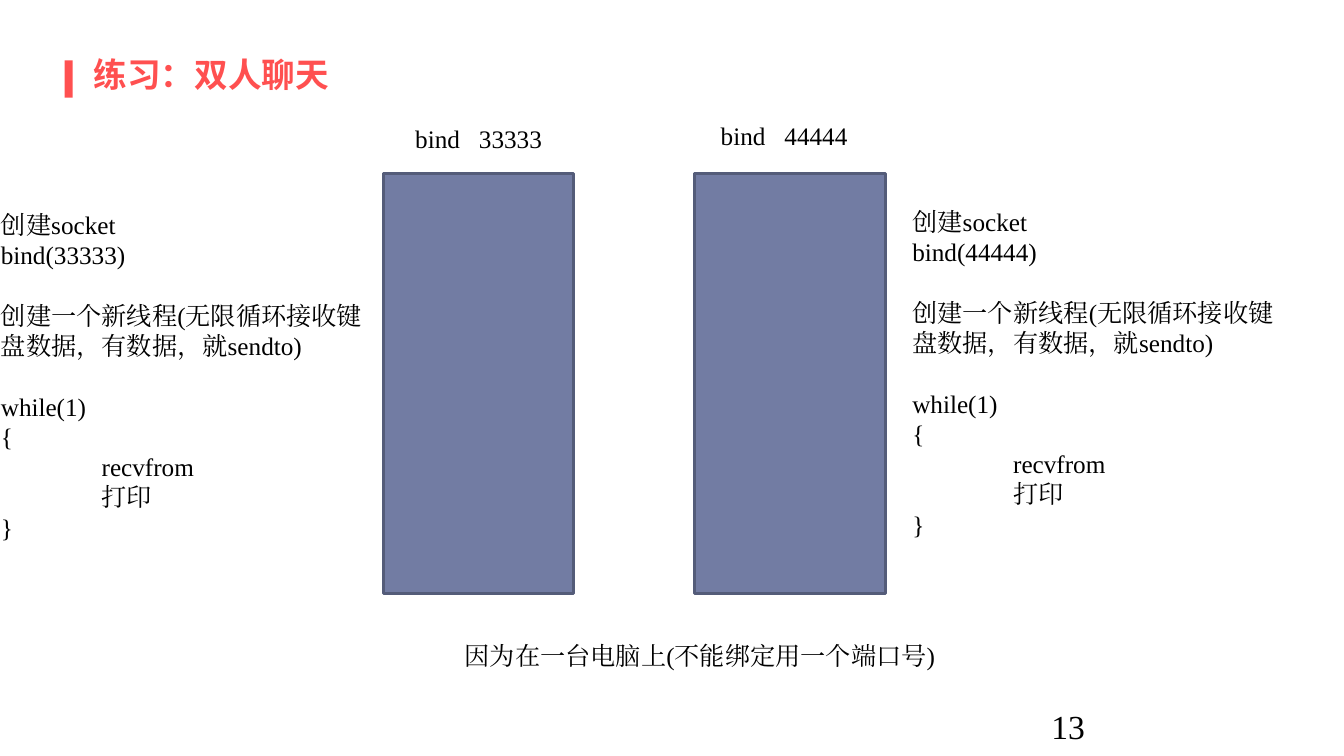
from dataclasses import dataclass

from pptx import Presentation
from pptx.dml.color import RGBColor
from pptx.enum.shapes import MSO_SHAPE
from pptx.enum.text import MSO_ANCHOR
from pptx.oxml.ns import qn
from pptx.util import Inches, Pt

RECT = MSO_SHAPE.RECTANGLE
TOP, MIDDLE = MSO_ANCHOR.TOP, MSO_ANCHOR.MIDDLE


@dataclass(frozen=True)
class Theme:
    accent: str = "FF5050"
    host_fill: str = "727CA3"
    host_line: str = "545C79"
    ink: str = "000000"
    head_font: str = "Noto Sans CJK SC"
    body_font: str = "Times New Roman"
    head_size: int = 24
    body_size: int = 18
    line_pitch: float = 21.6


class Deck:
    """Holds the theme and the slide being drawn."""

    def __init__(self, prs, theme):
        self.theme = theme
        self.s = prs.slides.add_slide(prs.slide_layouts[6])

    def rect(self, x, y, w, h, fill, line=None):
        sp = self.s.shapes.add_shape(RECT, Inches(x), Inches(y), Inches(w), Inches(h))
        sp.shadow.inherit = False
        sp.fill.solid()
        sp.fill.fore_color.rgb = RGBColor.from_string(fill)
        if line:
            sp.line.color.rgb = RGBColor.from_string(line)
            sp.line.width = Pt(2)
        else:
            sp.line.fill.background()

    def frame(self, x, y, w, h, wrap=True, anchor=TOP):
        tf = self.s.shapes.add_textbox(Inches(x), Inches(y), Inches(w), Inches(h)).text_frame
        tf.word_wrap = wrap
        tf.vertical_anchor = anchor
        return tf

    def run(self, p, text, size=None, font=None, color=None, bold=False):
        """Add a run whose font also covers East Asian text."""
        r = p.add_run()
        r.text = text
        r.font.size = Pt(size or self.theme.body_size)
        r.font.name = font or self.theme.body_font
        r.font.bold = bold
        r.font.color.rgb = RGBColor.from_string(color or self.theme.ink)
        ea = r.font._element.makeelement(qn("a:ea"), {"typeface": r.font.name})
        r.font._element.find(qn("a:latin")).addnext(ea)
        return r

    def title(self, text):
        t = self.theme
        self.rect(0.64, 0.6, 0.08, 0.37, t.accent)
        tf = self.frame(0.83, 0.51, 11.68, 0.46, anchor=MIDDLE)
        self.run(tf.paragraphs[0], text, t.head_size, t.head_font, t.accent, True)

    def label(self, x, y, w, text, size=None):
        tf = self.frame(x, y, w, 0.4)
        self.run(tf.paragraphs[0], text, size)

    def port_label(self, x, y, port):
        """Write the call and its port with a widened space between them."""
        p = self.frame(x, y, 1.46, 0.4, wrap=False).paragraphs[0]
        self.run(p, "bind")
        gap = self.run(p, " ")
        gap.font._element.set("spc", "900")
        self.run(p, port)

    def steps(self, x, y, lines):
        """Write (text, indent in inches, blank lines before) as paragraphs."""
        tf = self.frame(x, y, 3.99, 3.43)
        pitch = self.theme.line_pitch
        for i, (text, indent, gap) in enumerate(lines):
            p = tf.add_paragraph() if i else tf.paragraphs[0]
            p.line_spacing = Pt(pitch)
            p.space_before = Pt(pitch * gap)
            p._p.get_or_add_pPr().set("marL", str(Inches(indent)))
            self.run(p, text)


def chat_steps(port):
    return [
        ("创建socket", 0, 0),
        (f"bind({port})", 0, 0),
        ("创建一个新线程(无限循环接收键盘数据，有数据，就sendto)", 0, 1),
        ("while(1)", 0, 1),
        ("{", 0, 0),
        ("recvfrom", 1, 0),
        ("打印", 1, 0),
        ("}", 0, 0),
    ]


def main():
    prs = Presentation()
    prs.slide_width, prs.slide_height = Inches(13.33), Inches(7.5)
    theme = Theme()
    deck = Deck(prs, theme)

    deck.title("练习：双人聊天")
    # port, host left, label position, steps position
    hosts = [
        ("33333", 3.8, (4.02, 1.17), (-0.09, 2.03)),
        ("44444", 6.89, (7.05, 1.14), (8.95, 2)),
    ]
    for port, host_x, label_at, steps_at in hosts:
        deck.rect(host_x, 1.72, 1.89, 4.17, theme.host_fill, theme.host_line)
        deck.port_label(*label_at, port)
        deck.steps(*steps_at, chat_steps(port))
    deck.label(4.51, 6.3, 5.29, "因为在一台电脑上(不能绑定用一个端口号)")
    deck.label(10.33, 6.95, 3, "13", theme.head_size)

    prs.save("out.pptx")


if __name__ == "__main__":
    main()
